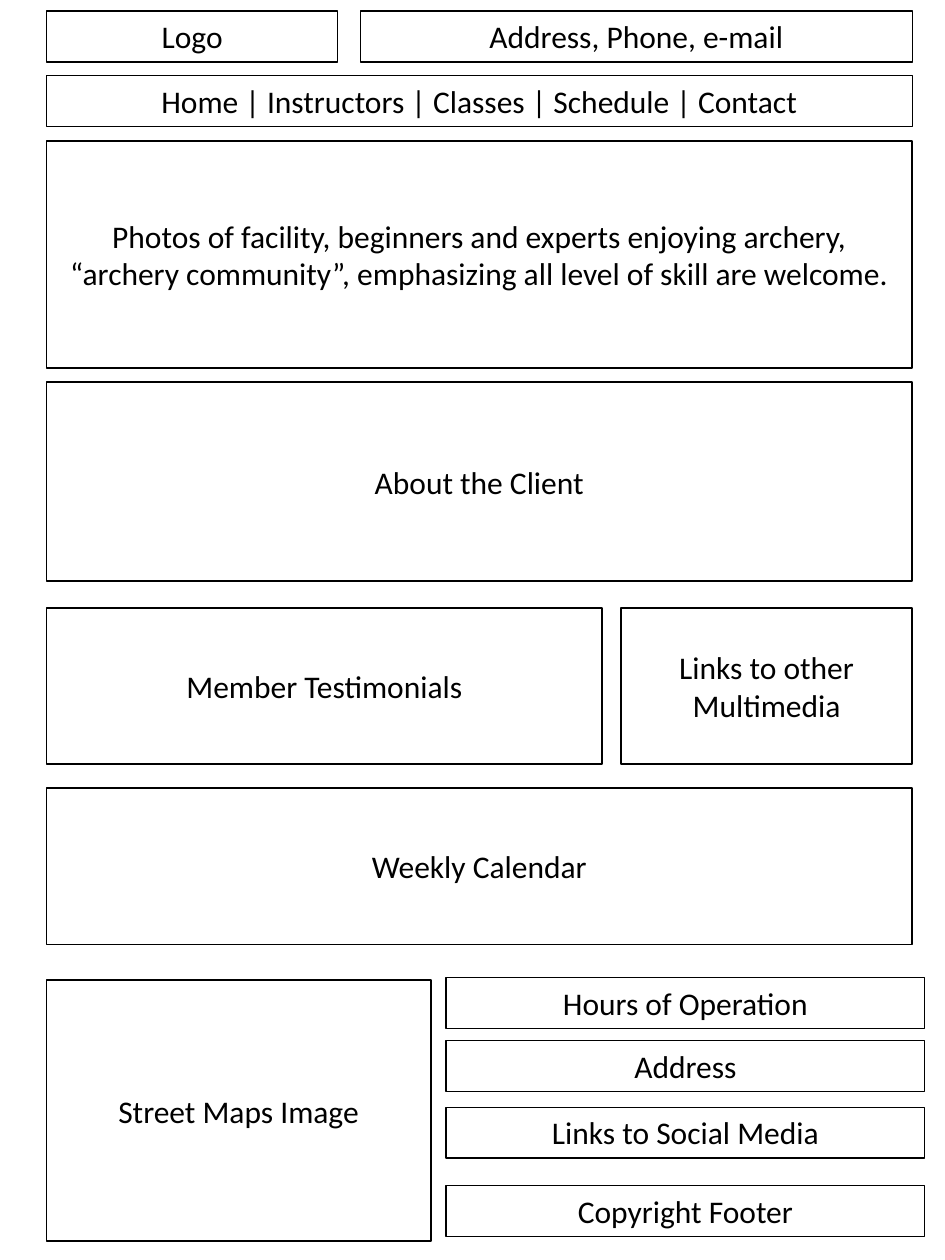
from pptx import Presentation
from pptx.dml.color import RGBColor
from pptx.enum import shapes, text
from pptx.util import Pt

BLACK = RGBColor(0, 0, 0)
WHITE = RGBColor(255, 255, 255)

LEFT, WIDE = 26.6, 494.7
RIGHT = LEFT + WIDE
SIDE = 166.4  # width of the narrow boxes
BAR = 29.1  # height of a one-line bar
FOOT, SPAN = 254.9, 273.6  # left and width of the footer bars

# label, left, top, width
BARS = [
    ("Logo", LEFT, 6.3, SIDE),
    ("Address, Phone, e-mail", 206, 6.3, RIGHT - 206),
    ("Home | Instructors | Classes | Schedule | Contact", LEFT, 43.2, WIDE),
]
FOOTER = [
    ("Hours of Operation", 558.6),
    ("Address", 594.6),
    ("Links to Social Media", 632.7),
    ("Copyright Footer", 677.6),
]
# label, left, top, width, height
PANELS = [
    ("Photos of facility, beginners and experts enjoying archery, "
     "“archery community”, emphasizing all level of skill are welcome.",
     LEFT, 80.6, WIDE, 129.6),
    ("About the Client", LEFT, 218.3, WIDE, 113.8),
    ("Member Testimonials", LEFT, 347.3, 317.5, 89.4),
    ("Links to other Multimedia", RIGHT - SIDE, 347.3, SIDE, 89.4),
    ("Weekly Calendar", LEFT, 450.4, WIDE, 89.4),
    ("Street Maps Image", LEFT, 560.2, 219.6, 149),
]


def add_box(slide, label, left, top, width, height, line):
    box = slide.shapes.add_shape(
        shapes.MSO_SHAPE.RECTANGLE, Pt(left), Pt(top), Pt(width), Pt(height))
    box.shadow.inherit = False
    box.line.color.rgb = BLACK
    box.line.width = Pt(line)
    frame = box.text_frame
    frame.word_wrap = True
    para = frame.paragraphs[0]
    para.alignment = text.PP_ALIGN.CENTER
    run = para.add_run()
    run.text = label
    for key, value in {"name": "Calibri", "size": Pt(18)}.items():
        setattr(run.font, key, value)
    run.font.color.rgb = BLACK
    return box


def add_bar(slide, label, left, top, width):
    """Add an unfilled one-line box that fits its text."""
    bar = add_box(slide, label, left, top, width, BAR, 0.75)
    bar.fill.background()
    bar.text_frame.vertical_anchor = text.MSO_ANCHOR.TOP
    bar.text_frame.auto_size = text.MSO_AUTO_SIZE.SHAPE_TO_FIT_TEXT


def add_panel(slide, label, left, top, width, height):
    """Add a white box with its label in the middle."""
    panel = add_box(slide, label, left, top, width, height, 1)
    panel.fill.solid()
    panel.fill.fore_color.rgb = WHITE
    panel.text_frame.vertical_anchor = text.MSO_ANCHOR.MIDDLE


def main():
    deck = Presentation()
    deck.slide_width, deck.slide_height = Pt(540), Pt(720)
    slide = deck.slides.add_slide(deck.slide_layouts[6])
    for bar in BARS:
        add_bar(slide, *bar)
    for label, top in FOOTER:
        add_bar(slide, label, FOOT, top, SPAN)
    for panel in PANELS:
        add_panel(slide, *panel)
    deck.save("out.pptx")


if __name__ == "__main__":
    main()
